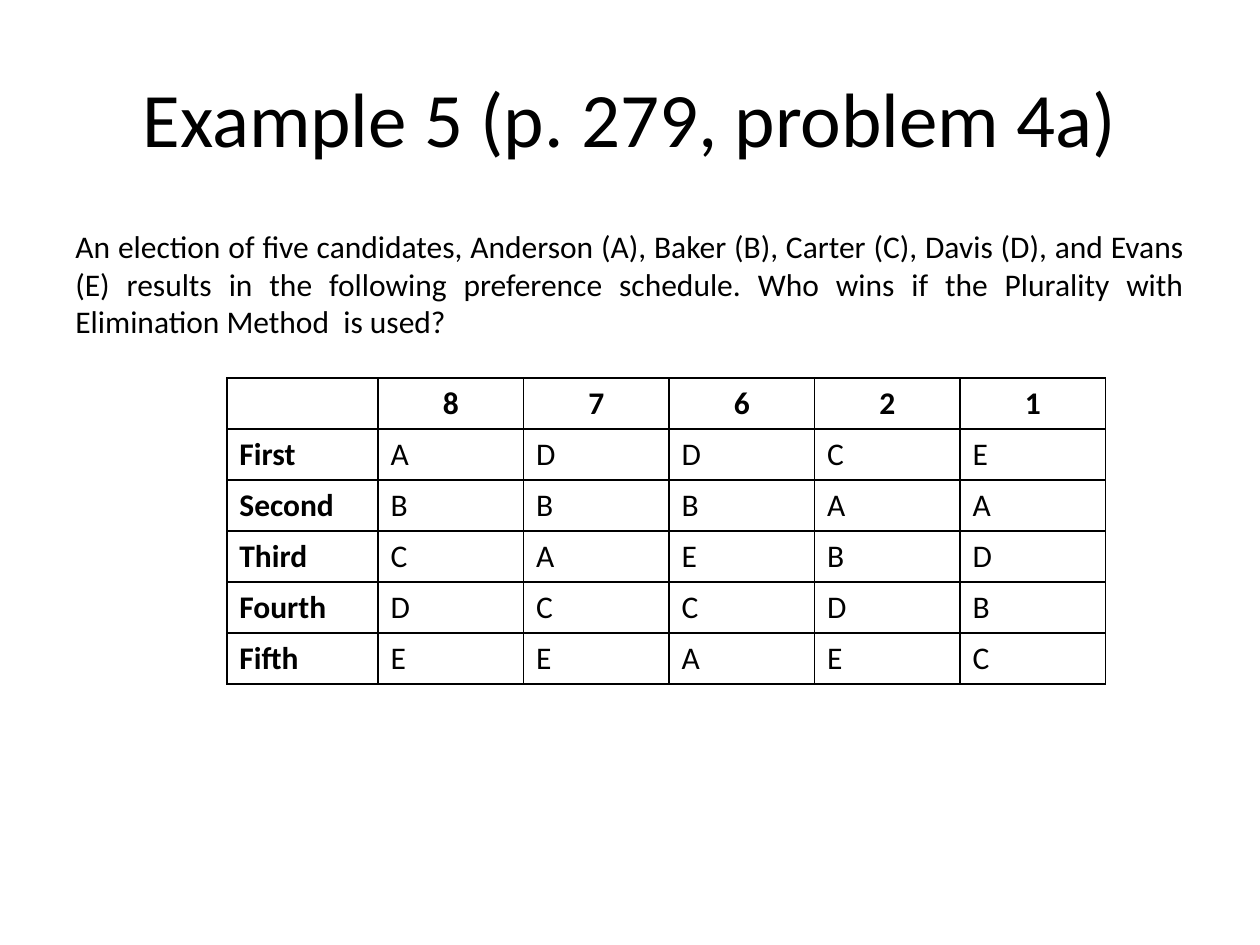
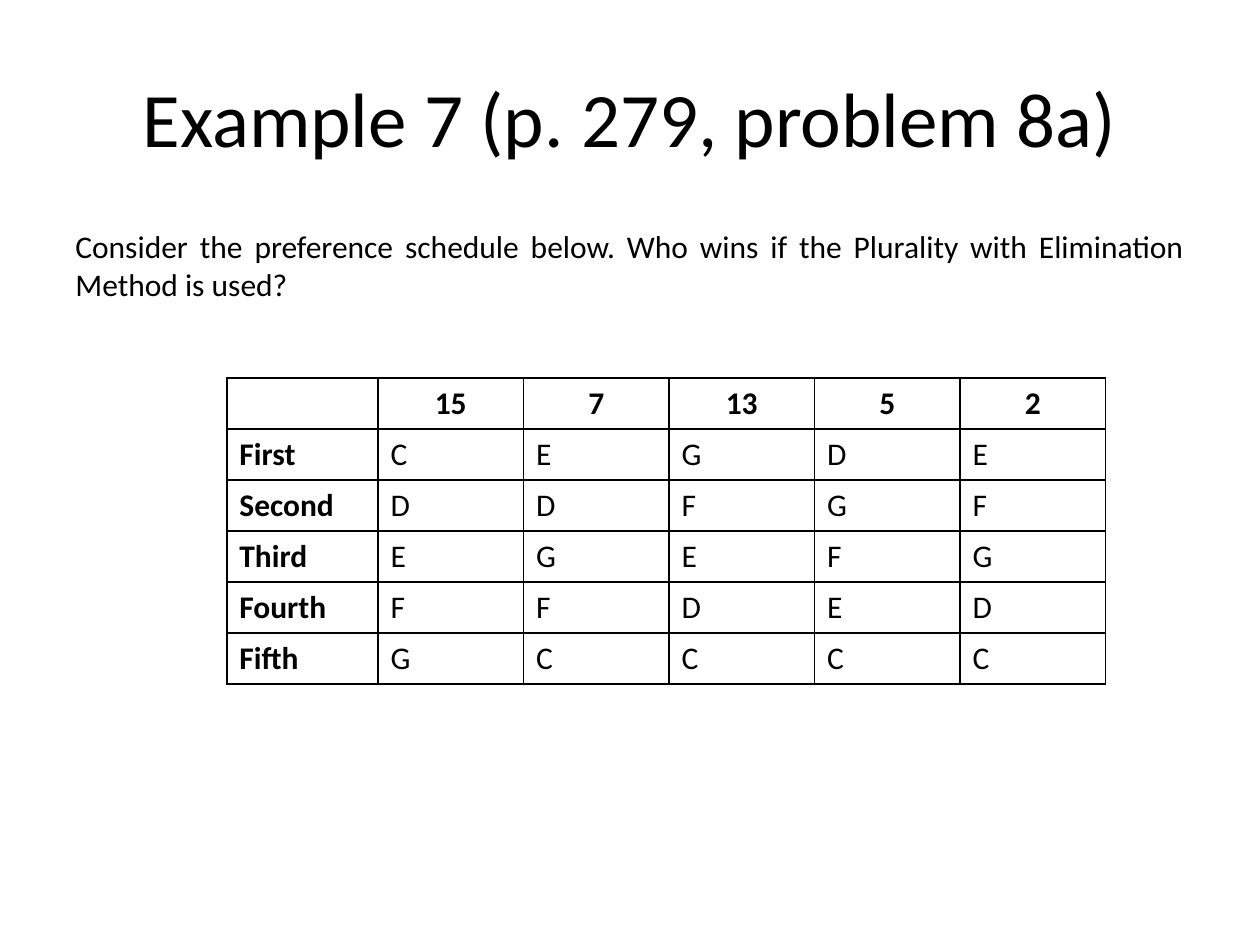
from lxml import etree
from pptx import Presentation
from pptx import util as u
from pptx.dml.color import RGBColor
from pptx.enum import text
from pptx.oxml import ns

PX = 4572  # EMU per px, 200 px to the inch
COLORS = {"ink": "000000", "border": "000000"}
FONT = "Calibri"
MARGIN, CONTENT_WIDTH = 100, 1800
RANK_WIDTH, VOTES_WIDTH, ROW_HEIGHT = 240, 231, 81
RANKS = ["", "First", "Second", "Third", "Fourth", "Fifth"]

# Each ballot column: number of voters, then candidates from first to fifth
EXAMPLES = [
    (
        "Example 5 (p. 279, problem 4a)",
        "An election of five candidates, Anderson (A), Baker (B), Carter (C), "
        "Davis (D), and Evans (E) results in the following preference schedule. "
        "Who wins if the Plurality with Elimination Method  is used?",
        [(8, "ABCDE"), (7, "DBACE"), (6, "DBECA"), (2, "CABDE"), (1, "EADBC")],
    ),
    (
        "Example 7 (p. 279, problem 8a)",
        "Consider the preference schedule below. Who wins if the Plurality with "
        "Elimination Method is used?",
        [(15, "CDEFG"), (7, "EDGFC"), (13, "GFEDC"), (5, "DGFEC"), (2, "EFGDC")],
    ),
]


def write(frame, wording, size, align, bold=False):
    """Fill the first paragraph of a text frame and style it."""
    paragraph = frame.paragraphs[0]
    paragraph.text = wording
    paragraph.alignment = align
    font = paragraph.font
    font.name, font.size, font.bold = FONT, u.Pt(size), bold
    font.color.rgb = RGBColor.from_string(COLORS["ink"])


def outline(cell):
    """Draw a 1 pt border on all four sides of a table cell."""
    properties = cell._tc.get_or_add_tcPr()
    for side in ("a:lnL", "a:lnR", "a:lnT", "a:lnB"):
        line = etree.SubElement(properties, ns.qn(side), w=str(u.Pt(1)))
        fill = etree.SubElement(line, ns.qn("a:solidFill"))
        etree.SubElement(fill, ns.qn("a:srgbClr"), val=COLORS["border"])


deck = Presentation()
deck.slide_width, deck.slide_height = 2000 * PX, 1500 * PX

for title, question, ballots in EXAMPLES:
    slide = deck.slides.add_slide(deck.slide_layouts[6])

    for wording, top, size, align, anchor in (
        (title, 60, 44, text.PP_ALIGN.CENTER, text.MSO_ANCHOR.MIDDLE),
        (question, 350, 18, text.PP_ALIGN.JUSTIFY, text.MSO_ANCHOR.TOP),
    ):
        frame = slide.shapes.add_textbox(
            MARGIN * PX, top * PX, CONTENT_WIDTH * PX, 250 * PX
        ).text_frame
        frame.word_wrap = True
        frame.vertical_anchor = anchor
        write(frame, wording, size, align)

    columns = [RANKS] + [[str(voters), *order] for voters, order in ballots]
    schedule = slide.shapes.add_table(
        len(RANKS), len(columns), 360 * PX, 600 * PX,
        (RANK_WIDTH + VOTES_WIDTH * len(ballots)) * PX,
        ROW_HEIGHT * len(RANKS) * PX,
    ).table
    schedule.first_row = schedule.horz_banding = False
    for row in schedule.rows:
        row.height = ROW_HEIGHT * PX
    for c, entries in enumerate(columns):
        schedule.columns[c].width = (VOTES_WIDTH if c else RANK_WIDTH) * PX
        for r, entry in enumerate(entries):
            cell = schedule.cell(r, c)
            outline(cell)
            cell.fill.background()
            align = text.PP_ALIGN.LEFT if r else text.PP_ALIGN.CENTER
            write(cell.text_frame, entry, 18, align, bold=r == 0 or c == 0)

deck.save("out.pptx")
